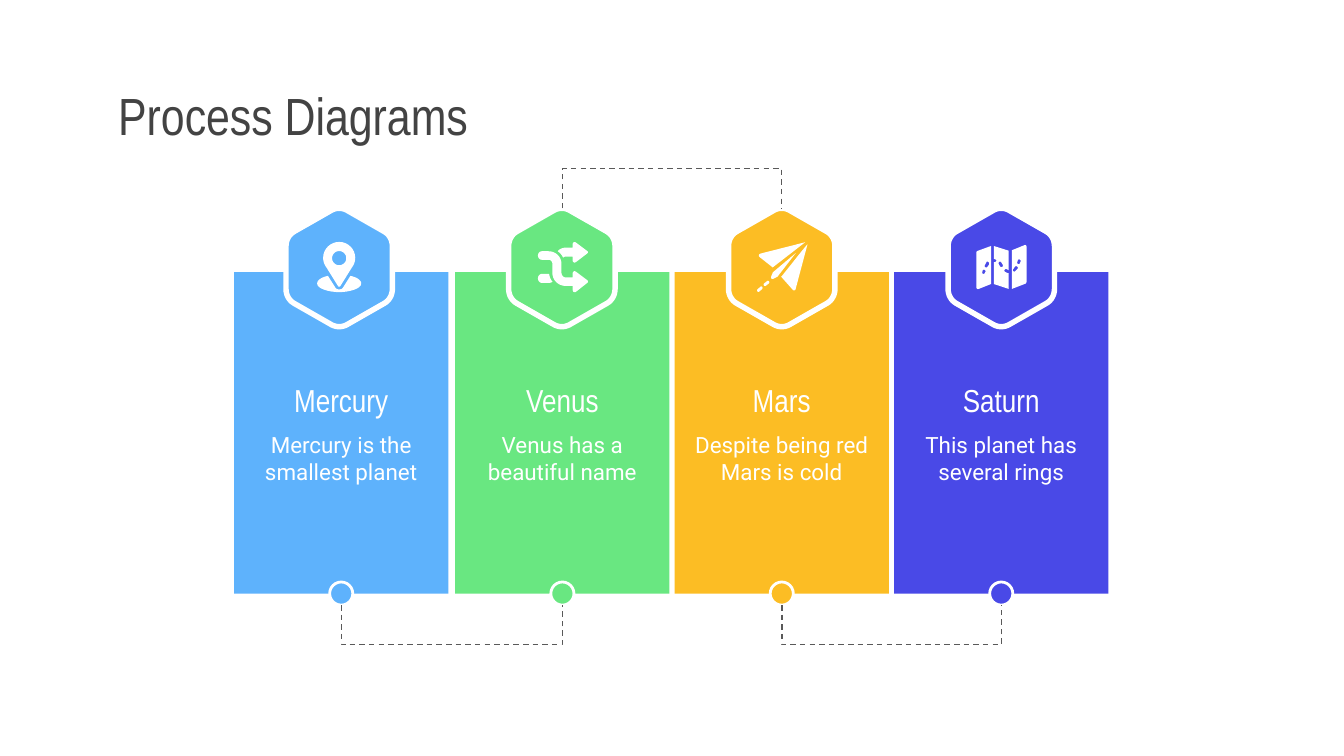
import pptx
import pptx.dml.color
import pptx.enum.dml
import pptx.enum.shapes
import pptx.enum.text
import pptx.oxml
import pptx.oxml.ns
import pptx.util

Pt = pptx.util.Pt
HUES = {"white": "FFFFFF", "dark": "434343", "grey": "595959", "blue": "5EB2FC",
        "green": "69E781", "gold": "FCBD24", "indigo": "4949E7"}
HEAD, BODY = "Arial Narrow", "Roboto"
WIDTH, TOP, FOOT = 114.8, 145.8, 318
HEX_MID, HEX_TOP = 143.3, 111.6
DOT, DROP, THIN = 12.4, 18.75, 0.05

# Outlines are in points, measured from the middle of the hexagon.
HEX = """M 0 -31.7 C -1.5 -31.7 -3 -31.3 -4.4 -30.5 L -24.2 -19.2
 C -26.9 -17.6 -28.5 -14.7 -28.5 -11.4 L -28.5 11.4
 C -28.5 14.7 -26.9 17.6 -24.2 19.2 L -4.4 30.5 C -3 31.3 -1.5 31.7 0 31.7
 C 1.5 31.7 3 31.3 4.4 30.5 L 24.2 19.2 C 26.9 17.6 28.5 14.7 28.5 11.4
 L 28.5 -11.4 C 28.5 -14.7 26.9 -17.6 24.2 -19.2 L 4.4 -30.5
 C 3 -31.3 1.5 -31.7 0 -31.7 Z"""
PIN = [
    """M 0 -13.7 C -4.8 -13.7 -8.6 -9.8 -8.6 -5.2 C -8.6 -3.2 -7.9 -1.4 -6.7 0.2
 L -0.6 10 C -0.3 10.4 0.3 10.4 0.6 10 L 6.7 0.2 C 7.9 -1.4 8.6 -3.2 8.6 -5.2
 C 8.6 -9.8 4.8 -13.7 0 -13.7 Z M 0 -8.8 C 2.1 -8.8 3.8 -7.1 3.8 -5
 C 3.8 -2.9 2.1 -1.2 0 -1.2 C -2.1 -1.2 -3.8 -2.9 -3.8 -5
 C -3.8 -7.1 -2.1 -8.8 0 -8.8 Z""",
    """M -6 4.5 C -9.5 5.2 -11.8 6.8 -11.8 8.6 C -11.8 11.4 -5.5 13.2 0 13.2
 C 5.5 13.2 11.8 11.4 11.8 8.6 C 11.8 6.8 9.5 5.2 6 4.5 L 1.9 11
 C 1.2 12 -1.2 12 -1.9 11 Z"""]
MIX = [
    """M -10.6 -8.7 C -11.9 -8.7 -12.8 -7.7 -12.8 -6.4 C -12.8 -5.1 -11.9 -4.1 -10.6 -4.1
 L -7.2 -4.1 C -6 -4.1 -5.1 -3.2 -5.1 -2 L -5.1 2.8 C -5.1 6.8 -1.9 9.9 2 9.9
 L 5.8 9.9 L 5.8 12 C 5.8 13.2 6.8 13.6 7.6 13 L 13.6 8.3
 C 14.1 7.9 14.1 7.2 13.6 6.8 L 7.6 2.3 C 6.8 1.7 5.8 2.1 5.8 3.2 L 5.8 5.3
 L 2 5.3 C 0.8 5.3 -0.2 4.2 -0.2 2.9 L -0.2 -2 C -0.2 -5.8 -3.4 -8.7 -7.2 -8.7 Z""",
    """M -6.8 3.4 L -10.6 3.4 C -11.9 3.4 -12.8 4.6 -12.8 5.8 C -12.8 7.1 -11.9 8.3 -10.6 8.3
 L -7.2 8.3 C -6.4 8.3 -5.7 8.1 -5 7.7 C -6 6.5 -6.6 5 -6.8 3.4 Z""",
    """M 5.8 -12.4 L 5.8 -10.6 L 2 -10.6 C 0.5 -10.6 -1.3 -10 -2.2 -8.6
 C -0.8 -7.8 0.1 -6.5 0.7 -5.2 C 1 -5.6 1.5 -5.8 2 -5.8 L 5.8 -5.8 L 5.8 -3.8
 C 5.8 -2.7 6.8 -2.3 7.6 -2.9 L 13.6 -7.5 C 14.1 -7.9 14.1 -8.4 13.6 -8.8
 L 7.6 -13.3 C 6.8 -13.9 5.8 -13.5 5.8 -12.4 Z"""]
PLANE = [
    "M -11.3 10.3 L -12.9 11.7 C -13.6 12.4 -12.9 13.4 -12 13 L -10.5 11.6 C -9.8 10.8 -10.6 9.9 -11.3 10.3 Z",
    "M -7.7 7.2 L -9.4 8.6 C -10.1 9.3 -9.4 10.3 -8.5 9.9 L -6.9 8.6 C -6.2 7.8 -7 6.9 -7.7 7.2 Z",
    "M 12.6 -13.5 L -11.4 -7.4 C -12.3 -7 -12.5 -6.2 -11.9 -5.6 L -4.8 0 Z",
    "M 13.8 -12.4 C 13.2 -12 0.4 4.3 -0.3 5 L 6 12.1 C 6.5 12.5 7.2 12.3 7.4 11.7 Z",
    "M 7.6 -7.8 L -4.7 2.6 L -5.7 5 C -5.9 5.8 -5.2 6.4 -4.5 6.1 L -2.3 5 Z"]
MAP = [
    """M -5.5 -11.5 L -12.6 -8.9 C -13.1 -8.7 -13.4 -8.3 -13.4 -7.8 L -13.4 10.5
 C -13.4 11.3 -12.7 11.8 -12 11.5 L -5.5 8.9 Z
 M -7.4 -3.2 C -6.5 -2.8 -6.2 -2.2 -6.6 -1.5 L -7.5 -0.2 C -8 0.4 -9.1 -0.1 -8.9 -0.9
 L -8 -2.7 C -7.8 -3.1 -7.6 -3.2 -7.4 -3.2 Z
 M -9.4 1.2 C -8.6 1.3 -8.2 1.9 -8.5 2.4 L -8.9 3.2 C -9.3 3.8 -10.3 3.5 -10.2 2.7
 L -10 1.7 C -9.9 1.4 -9.7 1.2 -9.4 1.2 Z""",
    """M -3.9 -11.5 L -3.9 -4.5 C -2.2 -4.6 -2.2 -2.7 -3.9 -2.9 L -3.9 8.9 L 4 11.5
 L 4 3.1 C 3 2.9 2.4 2.6 1.9 2.2 C 1.1 1.5 2.2 0.4 3 0.9 L 4 1.5 L 4 -9 Z
 M -0.8 -3.2 C 0 -3.2 0.4 -2 0.9 -1.3 C 1.1 -0.3 0 0.1 -0.6 -0.5 L -1.3 -1.8
 C -1.6 -2.5 -1.3 -3 -0.8 -3.2 Z""",
    """M 12.5 -12 L 5.6 -9.2 L 5.6 11.5 L 12.7 8.8 C 13.2 8.6 13.5 8.2 13.5 7.7
 L 13.5 -11.2 C 13.5 -11.9 13 -12.2 12.5 -12 Z
 M 9.5 -4.4 C 10.3 -4.2 10.6 -3.7 10.3 -3 L 9.9 -2.1 C 9.4 -1.5 8.4 -1.9 8.5 -2.7
 L 8.8 -3.7 C 9 -4.2 9.2 -4.4 9.5 -4.4 Z
 M 8 -0.7 C 8.8 -0.5 9.1 0.1 8.7 0.7 L 7.3 2.1 C 6.6 2.5 5.7 1.6 6.4 0.9
 L 7.3 -0.4 C 7.5 -0.6 7.8 -0.7 8 -0.7 Z"""]

# Middle of card, middle of hexagon, colour, icon, name, note
CARDS = [
    (182.8, 181.7, "blue", PIN, "Mercury", "Mercury is the smallest planet"),
    (301.3, 301, "green", MIX, "Venus", "Venus has a beautiful name"),
    (418.8, 418.8, "gold", PLANE, "Mars", "Despite being red Mars is cold"),
    (536.4, 536.4, "indigo", MAP, "Saturn", "This planet has several rings")]


def trace(text, steps=8):
    """Turn M, L, C and Z commands into closed lists of points, with curves cut into steps."""
    loops = []
    for part in text.replace("Z", "").split("M")[1:]:
        marks = part.replace("L", "|L").replace("C", "|C").split("|")
        loop = [tuple(map(float, marks[0].split()))]
        for mark in marks[1:]:
            nums = list(map(float, mark[1:].split()))
            ends = list(zip(nums[::2], nums[1::2]))
            if mark[0] == "L":
                loop += ends
                continue
            a, (b, c, d) = loop[-1], ends
            for i in range(1, steps + 1):
                t = i / steps
                u = 1 - t
                loop.append(tuple(u**3 * a[k] + 3 * u * u * t * b[k] + 3 * u * t * t * c[k]
                                  + t**3 * d[k] for k in (0, 1)))
        loops.append(loop)
    return loops


class Deck:
    def __init__(self, wide, high):
        self.show = pptx.Presentation()
        self.show.slide_width, self.show.slide_height = Pt(wide), Pt(high)
        self.slide = self.show.slides.add_slide(self.show.slide_layouts[6])
        self.shapes = self.slide.shapes

    def tint(self, hue):
        return pptx.dml.color.RGBColor.from_string(HUES[hue])

    def paint(self, shape, hue, edge):
        shape.shadow.inherit = False
        shape.fill.solid()
        shape.fill.fore_color.rgb = self.tint(hue)
        if edge:
            shape.line.color.rgb = self.tint("white")
            shape.line.width = Pt(edge)
        else:
            shape.line.fill.background()

    def shape(self, kind, x, y, w, h, hue, edge=0):
        kind = getattr(pptx.enum.shapes.MSO_SHAPE, kind)
        self.paint(self.shapes.add_shape(kind, Pt(x), Pt(y), Pt(w), Pt(h)), hue, edge)

    def form(self, text, x, y, hue, edge=0):
        pen = None
        for loop in trace(text):
            spots = [(Pt(x + a), Pt(y + b)) for a, b in loop]
            if pen is None:
                pen = self.shapes.build_freeform(*spots[0], scale=1.0)
            else:
                pen.move_to(*spots[0])
            pen.add_line_segments(spots[1:], close=True)
        self.paint(pen.convert_to_shape(), hue, edge)

    def text(self, words, x, y, w, h, size, face, hue="white", align="CENTER"):
        frame = self.shapes.add_textbox(Pt(x), Pt(y), Pt(w), Pt(h)).text_frame
        frame.word_wrap = True
        frame.vertical_anchor = pptx.enum.text.MSO_ANCHOR.MIDDLE
        frame.margin_left = frame.margin_right = Pt(7.2)
        frame.margin_top = frame.margin_bottom = Pt(7.2)
        para = frame.paragraphs[0]
        para.text = words
        para.alignment = getattr(pptx.enum.text.PP_ALIGN, align)
        para.font.size, para.font.name = Pt(size), face
        para.font.color.rgb = self.tint(hue)

    def link(self, left, right, y, down):
        """Draw a dashed bracket: an elbow of almost no width, turned a quarter."""
        mid, half = (left + right) / 2, (right - left) / 2
        ends = (mid + THIN, mid) if down else (mid, mid + THIN)
        line = self.shapes.add_connector(pptx.enum.shapes.MSO_CONNECTOR.ELBOW, Pt(ends[0]),
                                         Pt(y - half), Pt(ends[1]), Pt(y + half))
        line.line.color.rgb = self.tint("grey")
        line.line.width = Pt(0.75)
        line.line.dash_style = pptx.enum.dml.MSO_LINE.DASH
        prop = line._element.spPr
        prop.find(pptx.oxml.ns.qn("a:xfrm")).set("rot", "16200000")
        bend = pptx.oxml.parse_xml(
            f'<a:gd {pptx.oxml.ns.nsdecls("a")} name="adj1" fmla="val {round(DROP / THIN * 100000)}"/>')
        geom = prop.find(pptx.oxml.ns.qn("a:prstGeom"))
        geom.find(pptx.oxml.ns.qn("a:avLst")).append(bend)
        prop.append(pptx.oxml.parse_xml(f'<a:effectLst {pptx.oxml.ns.nsdecls("a")}/>'))


def main():
    deck = Deck(720, 405)
    deck.text("Process Diagrams", 56.2, 42.5, 608.4, 38.2, 28, HEAD, "dark", "LEFT")
    for mid, peak, hue, icon, name, note in CARDS:
        left = mid - WIDTH / 2
        deck.shape("RECTANGLE", left, TOP, WIDTH, FOOT - TOP, hue)
        deck.form(HEX, peak, HEX_MID, hue, 2.93)
        for part in icon:
            deck.form(part, peak, HEX_MID, "white")
        deck.text(note, left, 224.6, WIDTH, 41.8, 12, BODY)
        deck.text(name, left, 197.3, WIDTH, 33.8, 17, HEAD)
        deck.shape("OVAL", mid - DOT / 2, FOOT - DOT / 2, DOT, DOT, hue, 1.5)
    mids = [card[0] for card in CARDS]
    for i, (left, right) in enumerate(zip(mids, mids[1:])):
        down = i % 2 == 0
        deck.link(left, right, FOOT + DOT / 2 if down else HEX_TOP, down)
    deck.show.save("out.pptx")


if __name__ == "__main__":
    main()
